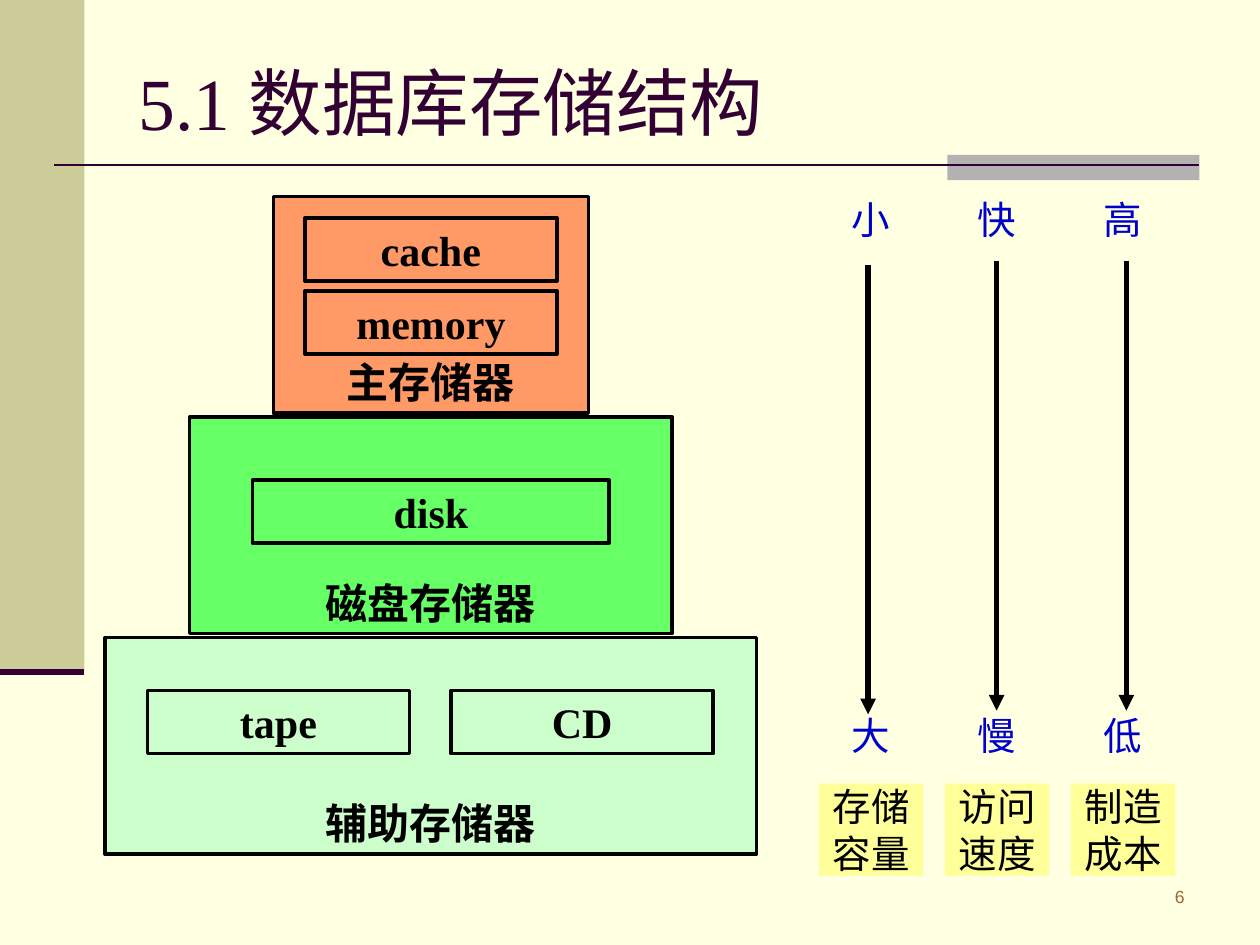
from pptx import Presentation
from pptx.dml.color import RGBColor
from pptx.enum.shapes import MSO_CONNECTOR as Conn, MSO_SHAPE as Shape
from pptx.enum.text import MSO_ANCHOR as Anchor, PP_ALIGN as Align
from pptx.oxml.ns import qn
from pptx.util import Inches, Pt
from lxml.etree import SubElement

hue = RGBColor.from_string
deck = Presentation()
deck.slide_width, deck.slide_height = Inches(10), Inches(7.5)
slide = deck.slides.add_slide(deck.slide_layouts[5])
slide.background.fill.solid()
slide.background.fill.fore_color.rgb = hue("FFFFE1")


def box(at, fill=None, edge=None, text="", size=24, color="000000", bold=False,
        pad=(0, 0), anchor=Anchor.MIDDLE, align=Align.CENTER, font="Times New Roman"):
    place = [Inches(n) for n in at]
    if fill or edge:
        item = slide.shapes.add_shape(Shape.RECTANGLE, *place)
        item.shadow.inherit = False
        if fill:
            item.fill.solid()
            item.fill.fore_color.rgb = hue(fill)
        else:
            item.fill.background()
        if edge:
            item.line.color.rgb = hue(edge)
            item.line.width = Pt(2)
        else:
            item.line.fill.background()
    else:
        item = slide.shapes.add_textbox(*place)
    if not text:
        return
    frame = item.text_frame
    frame.word_wrap = True
    frame.margin_left = frame.margin_right = Inches(pad[0])
    frame.margin_top = frame.margin_bottom = Inches(pad[1])
    frame.vertical_anchor = anchor
    frame.text = text
    par = frame.paragraphs[0]
    par.alignment = align
    face = par.runs[0].font
    face.name, face.size, face.bold = font, Pt(size), bold
    face.color.rgb = hue(color)


def line(start, end, color, width, arrow=False):
    ends = [Inches(n) for n in (*start, *end)]
    item = slide.shapes.add_connector(Conn.STRAIGHT, *ends)
    item.line.color.rgb = hue(color)
    item.line.width = Pt(width)
    if arrow:
        SubElement(item.line._get_or_add_ln(), qn("a:tailEnd"), type="triangle")
    SubElement(item._element.spPr, qn("a:effectLst"))


box((0, 0, 0.67, 5.33), "CCCC99")
box((7.52, 1.23, 2, 0.2), "B2B2B2")
line((0.43, 1.31), (9.52, 1.31), "330033", 1.5)
line((0, 5.33), (0.67, 5.33), "330033", 3.5)

title = slide.shapes.title
title.left, title.top = Inches(1), Inches(0.3)
title.width, title.height = Inches(8.5), Inches(1.01)
title.text_frame.text = "5.1 数据库存储结构"
title.text_frame.vertical_anchor = Anchor.MIDDLE
head = title.text_frame.paragraphs[0]
head.alignment = Align.LEFT
face = head.runs[0].font
face.name, face.size = "Times New Roman", Pt(42)
face.color.rgb = hue("330033")

mid = 3.42
tiers = [("主存储器", 2.5, "FF9966"), ("磁盘存储器", 3.83, "66FF66"),
         ("辅助存储器", 5.17, "CCFFCC")]
for row, (name, wide, fill) in enumerate(tiers):
    box((mid - wide / 2, 1.56 + 1.75 * row, wide, 1.72), fill, "000000", name,
        bold=True, pad=(0.1, 0.05), anchor=Anchor.BOTTOM)

parts = [("cache", mid, 1.73, 2), ("memory", mid, 2.31, 2), ("disk", mid, 3.81, 2.83),
         ("tape", 2.21, 5.48, 2.08), ("CD", 4.62, 5.48, 2.08)]
for name, x, y, wide in parts:
    box((x - wide / 2, y, wide, 0.5), None, "000000", name, bold=True, pad=(0.1, 0.05))

scales = [("小", "大", "存储容量", 6.89, 2.1), ("快", "慢", "访问速度", 7.91, 2.07),
          ("高", "低", "制造成本", 8.94, 2.07)]
for col, (high, low, name, x, top) in enumerate(scales):
    left = 6.5 + col
    box((left, 6.22, 0.83, 0.73), "FFFF99", text=name, size=22)
    for word, y in ((high, 1.56), (low, 5.65)):
        box((left + 0.16, y, 0.5, 0.37), text=word, size=22, color="0000CC",
            anchor=Anchor.TOP)
    line((x, top), (x, top + 3.57), "000000", 3, True)

box((8.23, 6.98, 1.27, 0.35), text="6", size=10, color="996633", pad=(0.1, 0.05),
    anchor=Anchor.TOP, align=Align.RIGHT, font="Arial")

deck.save("out.pptx")
